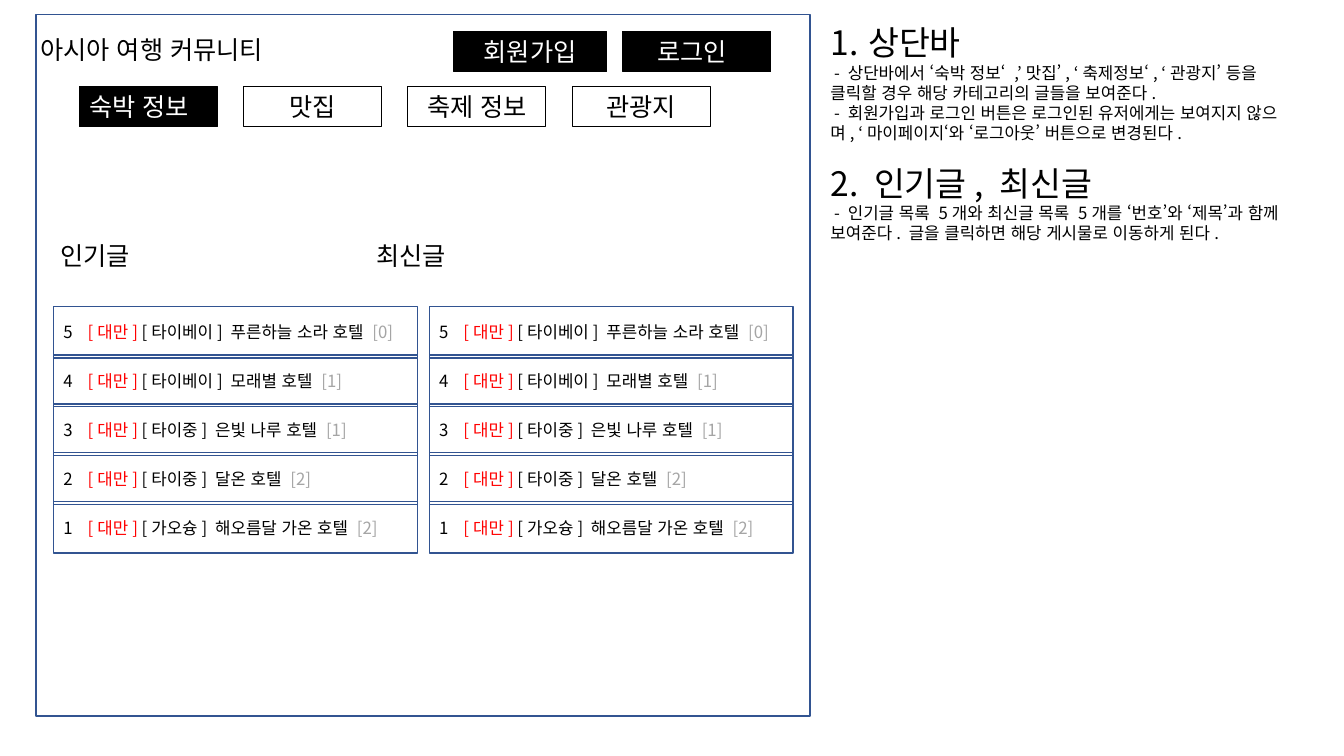
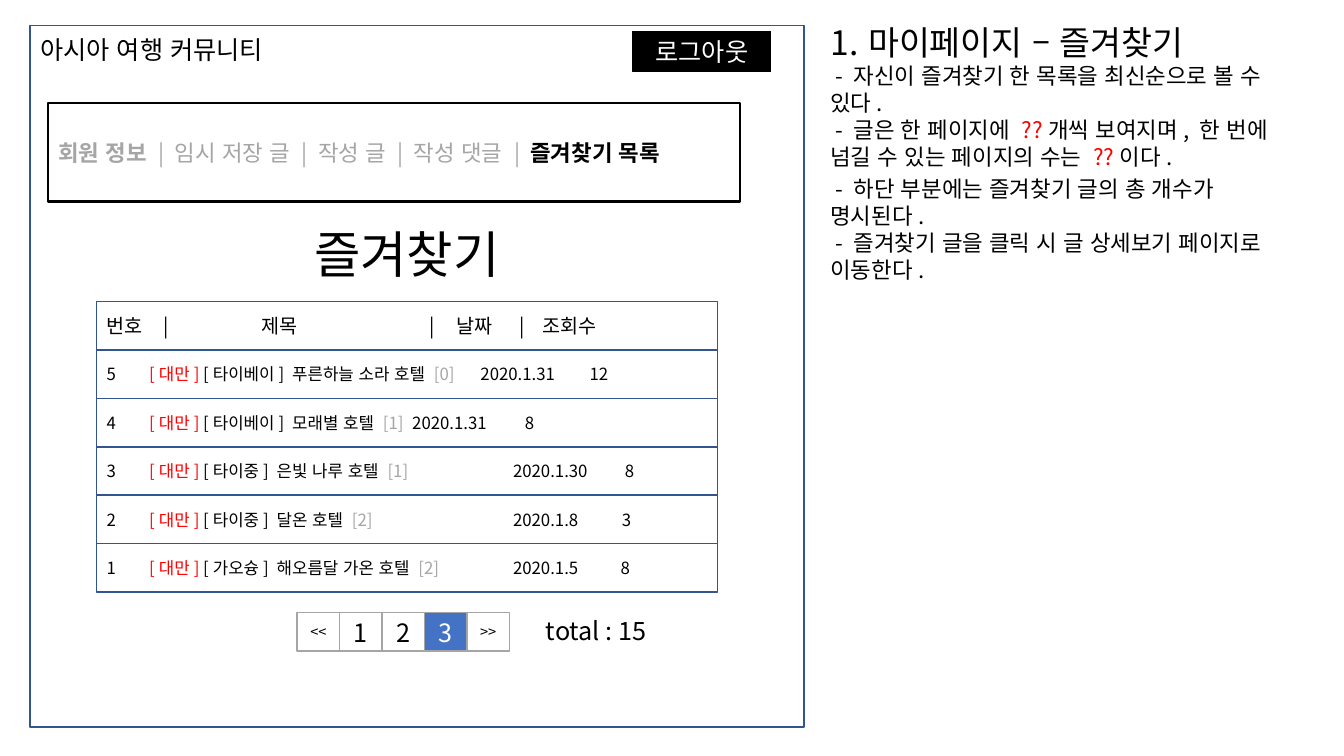
from dataclasses import dataclass
from typing import Any, NamedTuple

import lxml.etree
import pptx
import pptx.dml.color
import pptx.enum.lang
import pptx.enum.shapes
import pptx.enum.text
import pptx.oxml.ns
import pptx.util

Cm = pptx.util.Cm
Pt = pptx.util.Pt
ALIGN = pptx.enum.text.PP_ALIGN
ANCHOR = pptx.enum.text.MSO_ANCHOR

FONT = "Noto Sans CJK KR"
BLACK, WHITE, RED = "000000", "FFFFFF", "FF0000"
GRAY, NAVY, BLUE = "A5A5A5", "325491", "4472C4"
SITE_NAME = "아시아 여행 커뮤니티"


class Box(NamedTuple):
    """Left, top, width and height in centimetres."""
    x: float
    y: float
    w: float
    h: float


class Run(NamedTuple):
    text: str
    size: float = 18
    color: str = BLACK
    bold: bool = False


@dataclass
class Para:
    runs: list[Run]
    align: Any = ALIGN.LEFT
    before: float = 0
    numbered: bool = False
    tabs: tuple[float, ...] = ()


class Post(NamedTuple):
    number: int
    city: str
    hotel: str
    replies: int
    date: str
    views: int
    date_tab: float
    views_tab: float


POSTS = [
    Post(5, "타이베이", "푸른하늘 소라 호텔", 0, "2020.1.31", 12, 9.42, 12.17),
    Post(4, "타이베이", "모래별 호텔", 1, "2020.1.31", 8, 7.7, 10.54),
    Post(3, "타이중", "은빛 나루 호텔", 1, "2020.1.30", 8, 10.24, 13.06),
    Post(2, "타이중", "달온 호텔", 2, "2020.1.8", 3, 10.24, 12.98),
    Post(1, "가오슝", "해오름달 가온 호텔", 2, "2020.1.5", 8, 10.24, 12.95),
]


def rgb(value: str) -> pptx.dml.color.RGBColor:
    return pptx.dml.color.RGBColor.from_string(value)


def apply(target: Any, values: dict[str, Any]) -> None:
    for name, value in values.items():
        setattr(target, name, value)


def sub(parent: Any, tag: str, **attrs: str) -> Any:
    return lxml.etree.SubElement(parent, pptx.oxml.ns.qn(tag), attrs)


def write(tf: Any, paras: list[Para], anchor: Any) -> None:
    """Fill a text frame with formatted paragraphs."""
    apply(tf, {"word_wrap": True, "vertical_anchor": anchor,
               "auto_size": pptx.enum.text.MSO_AUTO_SIZE.NONE})
    for i, para in enumerate(paras):
        p = tf.paragraphs[0] if i == 0 else tf.add_paragraph()
        apply(p, {"alignment": para.align, "space_before": Pt(para.before)})
        pPr = p._p.get_or_add_pPr()
        if para.numbered:
            pPr.set("marL", str(Cm(0.95)))
            pPr.set("indent", str(Cm(-0.95)))
            sub(pPr, "a:buFontTx")
            sub(pPr, "a:buAutoNum", type="arabicPeriod")
        if para.tabs:
            stops = sub(pPr, "a:tabLst")
            for tab in para.tabs:
                sub(stops, "a:tab", pos=str(Cm(tab)), algn="l")
        for run in para.runs:
            r = p.add_run()
            r.text = run.text
            apply(r.font, {"name": FONT, "size": Pt(run.size), "bold": run.bold,
                           "language_id": pptx.enum.lang.MSO_LANGUAGE_ID.KOREAN})
            r.font.color.rgb = rgb(run.color)
            sub(r.font._element, "a:ea", typeface=FONT)


def add_text(s: Any, box: Box, paras: list[Para]) -> None:
    sp = s.shapes.add_textbox(*map(Cm, box))
    write(sp.text_frame, paras, ANCHOR.TOP)


def add_rect(s: Any, box: Box, paras: list[Para] | None = None, fill: str | None = None,
             line: str = BLACK, width: float = 0.75) -> Any:
    sp = s.shapes.add_shape(pptx.enum.shapes.MSO_SHAPE.RECTANGLE, *map(Cm, box))
    sp.shadow.inherit = False
    if fill:
        sp.fill.solid()
        sp.fill.fore_color.rgb = rgb(fill)
    else:
        sp.fill.background()
    sp.line.color.rgb = rgb(line)
    sp.line.width = Pt(width)
    if paras:
        write(sp.text_frame, paras, ANCHOR.MIDDLE)
    return sp


def add_button(s: Any, box: Box, label: str, dark: bool = True, align: Any = ALIGN.CENTER) -> Any:
    run = Run(label, color=WHITE if dark else BLACK)
    return add_rect(s, box, [Para([run], align)], fill=BLACK if dark else None)


def add_page(prs: Any, frame: Box, notes: list[Para], notes_height: float) -> Any:
    """Start a slide: site name, screen frame and the notes beside it."""
    s = prs.slides.add_slide(prs.slide_layouts[5])
    title = s.shapes.title
    apply(title, dict(zip(("left", "top", "width", "height"), map(Cm, (0.76, 0.74, 6.76, 1.02)))))
    write(title.text_frame, [Para([Run(SITE_NAME)])], ANCHOR.MIDDLE)
    add_rect(s, frame, line=NAVY, width=1)
    add_text(s, Box(20.68, 0.43, 12.29, notes_height), notes)
    return s


def add_rows(s: Any, first: Box, pitch: float, rows: list[Para]) -> None:
    """Stack outlined rows downwards from the first."""
    for i, row in enumerate(rows):
        add_rect(s, first._replace(y=first.y + i * pitch), [row], line=NAVY, width=1)


def post_row(post: Post, title_tab: float, details: bool = False) -> Para:
    runs = [Run(f"{post.number}\t", 12), Run("[대만]", 12, RED),
            Run(f" [{post.city}] {post.hotel} ", 12), Run(f"[{post.replies}]", 12, GRAY)]
    tabs: tuple[float, ...] = (title_tab,)
    if details:
        runs.append(Run(f"\t{post.date}\t{post.views}", 12))
        tabs += (post.date_tab, post.views_tab)
    return Para(runs, tabs=tabs)


def build_home(prs: Any) -> None:
    notes = [
        Para([Run("상단바", 24)], numbered=True),
        Para([Run(" - 상단바에서 ‘숙박 정보‘ ,’맛집’, ‘축제정보‘, ‘관광지’ 등을 "
                  "클릭할 경우 해당 카테고리의 글들을 보여준다.", 12)]),
        Para([Run(" - 회원가입과 로그인 버튼은 로그인된 유저에게는 보여지지 않으며, "
                  "‘마이페이지‘와 ‘로그아웃’ 버튼으로 변경된다.", 12)]),
        Para([Run("2. 인기글, 최신글", 24)], before=14),
        Para([Run(" - 인기글 목록 5개와 최신글 목록 5개를 ‘번호’와 ‘제목’과 함께 "
                  "보여준다. 글을 클릭하면 해당 게시물로 이동하게 된다.", 12)]),
    ]
    s = add_page(prs, Box(0.91, 0.36, 19.5, 17.68), notes, 5.89)

    # Account buttons
    add_button(s, Box(11.43, 0.79, 3.86, 1.02), "회원가입")
    login = add_button(s, Box(15.7, 0.79, 3.73, 1.02), "로그인")
    login.text_frame.margin_right = Cm(0.5)

    # Category tabs, the first one selected
    for i, label in enumerate(["숙박 정보", "맛집", "축제 정보", "관광지"]):
        add_button(s, Box(2 + i * 4.14, 2.18, 3.48, 1.02), label, dark=i == 0,
                   align=ALIGN.LEFT if i == 0 else ALIGN.CENTER)

    # Popular and latest posts
    add_text(s, Box(1.27, 5.94, 17.3, 1.8), [Para([Run("인기글\t최신글")], tabs=(7.96,))])
    for x in (1.35, 10.82):
        add_rows(s, Box(x, 7.72, 9.17, 1.3), 1.23, [post_row(post, 0.61) for post in POSTS])


def build_favorites(prs: Any) -> None:
    notes = [
        Para([Run("마이페이지 – 즐겨찾기", 24)], numbered=True),
        Para([Run(" - 자신이 즐겨찾기 한 목록을 최신순으로 볼 수 있다.", 16)]),
        Para([Run(" - 글은 한 페이지에 ", 16), Run("??", 16, RED),
              Run("개씩 보여지며, 한 번에 넘길 수 있는 페이지의 수는 ", 16),
              Run("??", 16, RED), Run("이다.", 16)]),
        Para([Run(" - 하단 부분에는 즐겨찾기 글의 총 개수가 명시된다.", 16)], before=4),
        Para([Run(" - 즐겨찾기 글을 클릭 시 글 상세보기 페이지로 이동한다.", 16)]),
    ]
    s = add_page(prs, Box(0.76, 0.64, 19.5, 17.68), notes, 6.93)
    add_button(s, Box(15.95, 0.79, 3.48, 1.02), "로그아웃")

    # My-page menu and heading
    menu = [Run("회원 정보 ", 16, GRAY, True),
            Run("| 임시 저장 글 | 작성 글 | 작성 댓글 | ", 16, GRAY),
            Run("즐겨찾기 목록", 16, BLACK, True)]
    add_rect(s, Box(1.22, 2.59, 17.42, 2.49), [Para(menu)], width=1.5)
    add_text(s, Box(7.67, 5.51, 5.72, 1.8), [Para([Run("즐겨찾기", 36)])])

    # Favorite posts under a header row
    header = Para([Run("번호\t|\t제목\t|\t날짜\t|\t조회수", 14)],
                  tabs=(1.42, 3.89, 8.13, 8.81, 10.41, 10.97))
    add_rows(s, Box(2.44, 7.6, 15.65, 1.22), 1.22,
             [header] + [post_row(post, 1.07, details=True) for post in POSTS])

    # Page numbers, the third one selected
    for i, label in enumerate(["<<", "1", "2", "3", ">>"]):
        current = label == "3"
        run = Run(label, 18 if label.isdigit() else 10.5, WHITE if current else BLACK)
        add_rect(s, Box(7.49 + i * 1.07, 15.44, 1.07, 0.97), [Para([run], ALIGN.CENTER)],
                 fill=BLUE if current else None, line=GRAY, width=1)
    add_text(s, Box(13.51, 15.37, 3.38, 1.02), [Para([Run("total : 15")])])


def main() -> None:
    prs = pptx.Presentation()
    apply(prs, {"slide_width": Cm(33.87), "slide_height": Cm(19.05)})
    build_home(prs)
    build_favorites(prs)
    prs.save("out.pptx")


if __name__ == "__main__":
    main()
